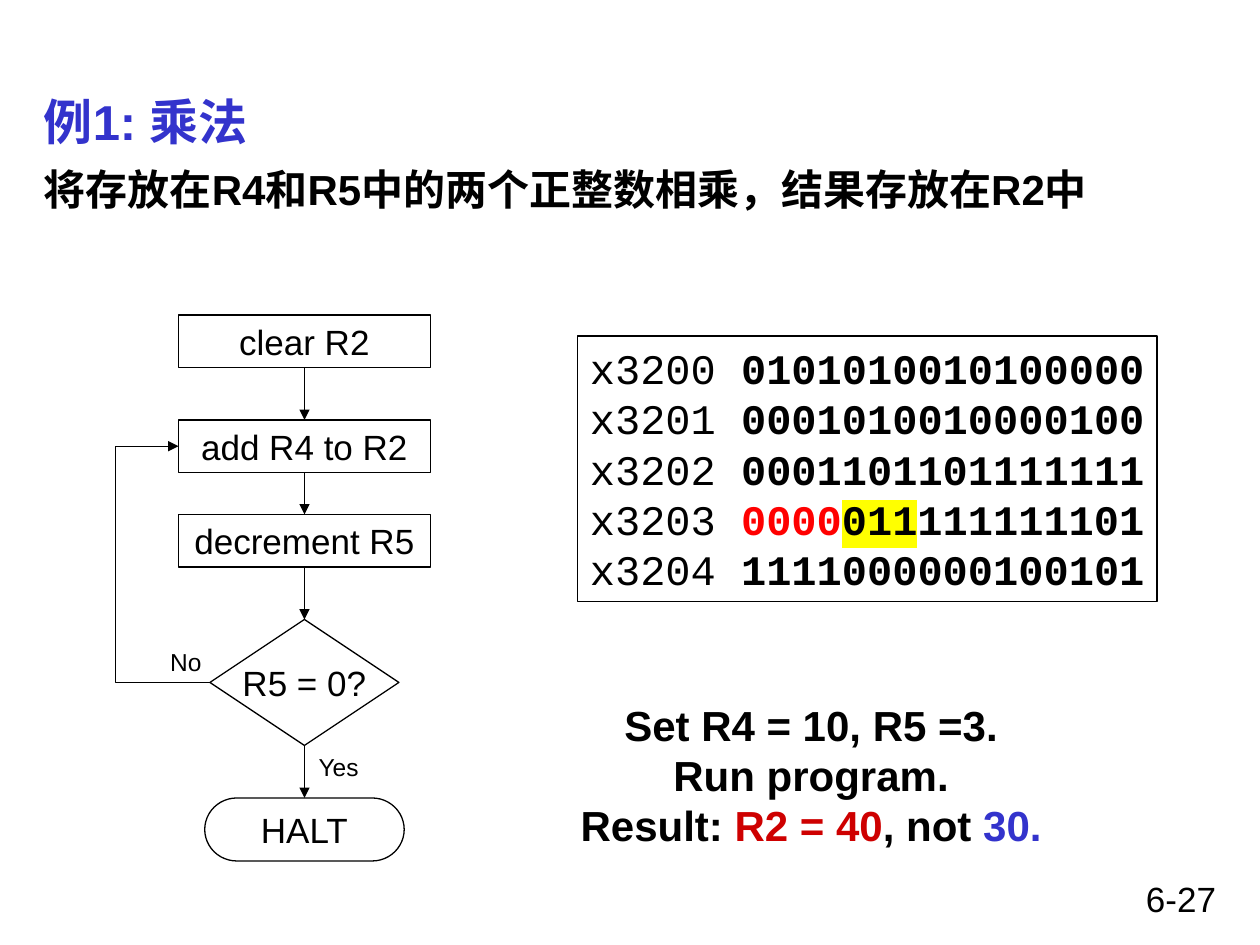
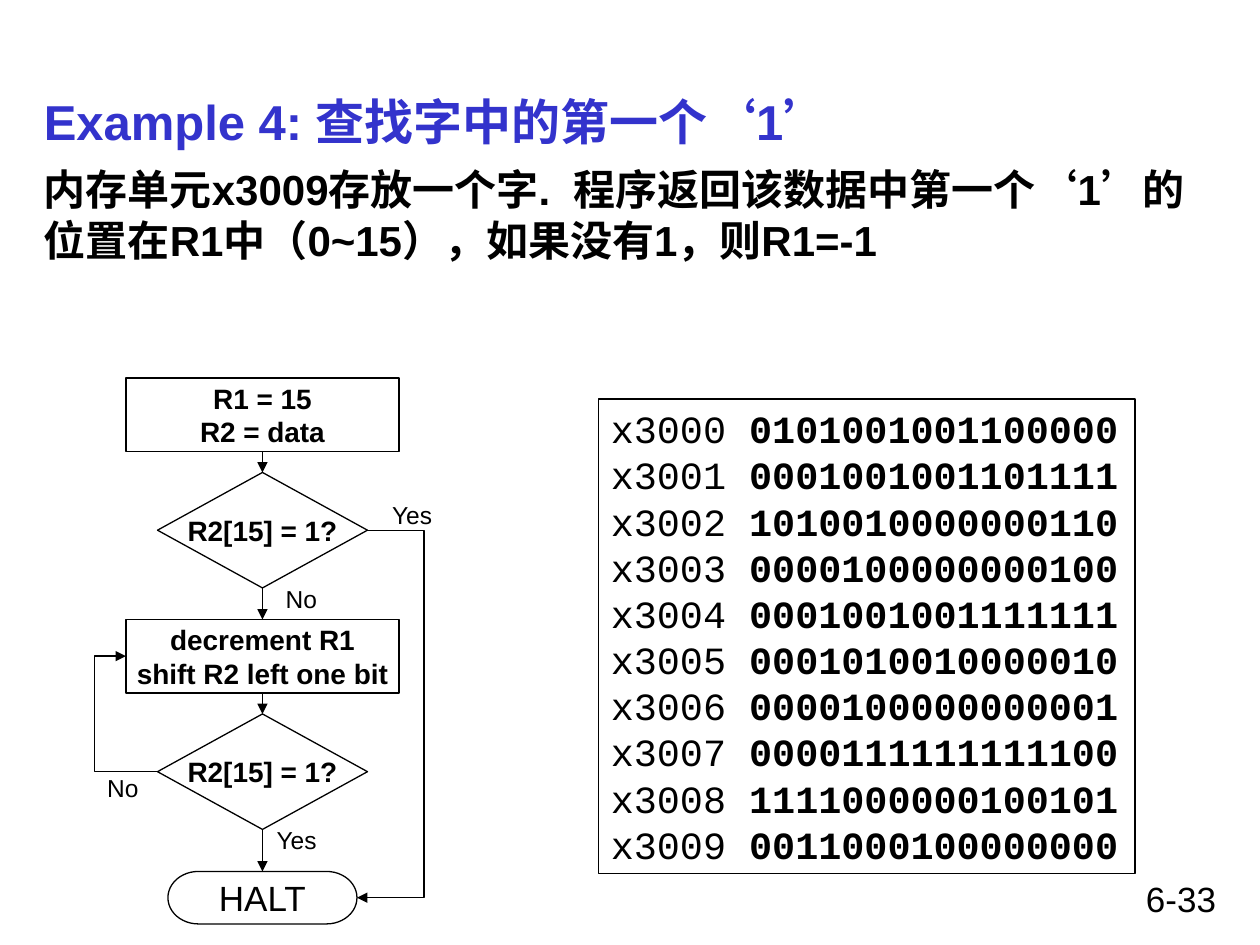
import pptx
import pptx.util
import pptx.dml.color
import pptx.enum.shapes
import pptx.enum.text
import pptx.oxml
import pptx.oxml.ns

RGBColor = pptx.dml.color.RGBColor
MSO_SHAPE = pptx.enum.shapes.MSO_SHAPE
MSO_CONNECTOR = pptx.enum.shapes.MSO_CONNECTOR
PP_ALIGN = pptx.enum.text.PP_ALIGN
MSO_ANCHOR = pptx.enum.text.MSO_ANCHOR
Pt = pptx.util.Pt

BLACK = RGBColor(0x00, 0x00, 0x00)
BLUE = RGBColor(0x33, 0x33, 0xCC)
RED = RGBColor(0xFF, 0x00, 0x00)
DARK_RED = RGBColor(0xCE, 0x00, 0x00)
YELLOW = RGBColor(0xFF, 0xFF, 0x00)
SANS, MONO = "Arial", "Courier New"

# The slide is a grid of 120 columns by 90 rows, each a twelfth of an inch.
COLUMNS, ROWS = 120, 90
UNIT = pptx.util.Inches(1) / 12

PROCESS = MSO_SHAPE.FLOWCHART_PROCESS
DECISION = MSO_SHAPE.FLOWCHART_DECISION
TERMINATOR = MSO_SHAPE.FLOWCHART_TERMINATOR
LABEL_WIDTHS = {"Yes": 6.5, "No": 5.4}

# Steps: kind, lines, top row, rows high, columns wide, text size.
# Loops: index of the step left, index of the step reached, column of the lane.
# A line of text is a string or a list of (text, style) runs.
SLIDES = [
    {
        "title": "例1: 乘法",
        "task": "将存放在R4和R5中的两个正整数相乘，结果存放在R2中",
        "page": "6-27",
        "axis": 29,
        "steps": [
            (PROCESS, ["clear R2"], 30, 5, 24, 20),
            (PROCESS, ["add R4 to R2"], 40, 5, 24, 20),
            (PROCESS, ["decrement R5"], 49, 5, 24, 20),
            (DECISION, ["R5 = 0?"], 59, 12, 18, 20),
            (TERMINATOR, ["HALT"], 76, 6, 19, 20),
        ],
        "bold_steps": False,
        "loops": [(3, 1, 11)],
        "labels": [("No", 15, 61), ("Yes", 29, 71)],
        "program_box": (55, 32, 55.2, 25.3),
        "program_size": 24,
        "program": [
            ("x3200", "0101010010100000"),
            ("x3201", "0001010010000100"),
            ("x3202", "0001101101111111"),
            ("x3203", [("0000", {"color": RED}),
                       ("011", {"highlight": YELLOW}),
                       ("111111101", {})]),
            ("x3204", "1111000000100101"),
        ],
        "result": [
            "Set R4 = 10, R5 =3.",
            "Run program.",
            [("Result: ", {}), ("R2 = 40", {"color": DARK_RED}),
             (", not", {}), (" 30.", {"color": BLUE})],
        ],
    },
    {
        "title": "Example 4: 查找字中的第一个‘1’",
        "task": "内存单元x3009存放一个字.  程序返回该数据中第一个‘1’的位置在R1中"
                "（0~15），如果没有1，则R1=-1",
        "page": "6-33",
        "axis": 25,
        "steps": [
            (PROCESS, ["R1 = 15", "R2 = data"], 36, 7, 26, 16),
            (DECISION, ["R2[15] = 1?"], 45, 11, 20, 16),
            (PROCESS, ["decrement R1", "shift R2 left one bit"], 59, 7, 26, 16),
            (DECISION, ["R2[15] = 1?"], 68, 11, 20, 16),
            (TERMINATOR, ["HALT"], 83, 5, 18, 20),
        ],
        "bold_steps": True,
        "loops": [(1, 4, 40.38), (3, 2, 9)],
        "labels": [("Yes", 36, 47), ("Yes", 25, 78), ("No", 26, 55), ("No", 9, 73)],
        "program_box": (57, 38, 51.1, 45.2),
        "program_size": 22,
        "program": [
            ("x3000", "0101001001100000"),
            ("x3001", "0001001001101111"),
            ("x3002", "1010010000000110"),
            ("x3003", "0000100000000100"),
            ("x3004", "0001001001111111"),
            ("x3005", "0001010010000010"),
            ("x3006", "0000100000000001"),
            ("x3007", "0000111111111100"),
            ("x3008", "1111000000100101"),
            ("x3009", "0011000100000000"),
        ],
        "result": [],
    },
]


def grid(*lengths):
    return [round(length * UNIT) for length in lengths]


def drawing_element(xml):
    """Parse one element whose prefix is a:."""
    declared = xml.replace(">", " " + pptx.oxml.ns.nsdecls("a") + ">", 1)
    if xml.endswith("/>") and xml.count("<") == 1:
        declared = xml[:-2] + " " + pptx.oxml.ns.nsdecls("a") + "/>"
    return pptx.oxml.parse_xml(declared)


def style_run(run, bold=None, color=None, highlight=None):
    if bold is not None:
        run.font.bold = bold
    if color is not None:
        run.font.color.rgb = color
    if highlight is not None:
        run.font.color.rgb = BLACK
        fill = run.font._element.find(pptx.oxml.ns.qn("a:solidFill"))
        fill.addnext(drawing_element(
            f'<a:highlight><a:srgbClr val="{highlight}"/></a:highlight>'))


def write(shape, lines, size, font=SANS, color=BLACK, bold=False, align=PP_ALIGN.LEFT,
          anchor=MSO_ANCHOR.TOP, wrap=False, space_before=0):
    frame = shape.text_frame
    frame.word_wrap = wrap
    frame.vertical_anchor = anchor
    for number, line in enumerate(lines):
        paragraph = frame.add_paragraph() if number else frame.paragraphs[0]
        paragraph.alignment = align
        paragraph.space_before = Pt(space_before)
        paragraph.font.name = font
        paragraph.font.size = Pt(size)
        paragraph.font.bold = bold
        paragraph.font.color.rgb = color
        for text, style in [(line, {})] if isinstance(line, str) else line:
            run = paragraph.add_run()
            run.text = text
            style_run(run, **style)


def add_text(slide, box, lines, size, **style):
    write(slide.shapes.add_textbox(*grid(*box)), lines, size, **style)


def add_outlined(slide, kind, box):
    shape = slide.shapes.add_shape(kind, *grid(*box))
    shape.shadow.inherit = False
    shape.fill.background()
    shape.line.color.rgb = BLACK
    shape.line.width = Pt(0.75)
    return shape


def add_arrow(slide, start, end, lane=None):
    """Draw a straight arrow, or an elbow that runs along the column lane."""
    kind = MSO_CONNECTOR.STRAIGHT if lane is None else MSO_CONNECTOR.ELBOW
    arrow = slide.shapes.add_connector(kind, *grid(*start, *end))
    arrow.line.color.rgb = BLACK
    arrow.line.width = Pt(0.75)
    arrow.line._get_or_add_ln().append(drawing_element('<a:tailEnd type="triangle"/>'))
    properties = arrow._element.spPr
    properties.append(drawing_element("<a:effectLst/>"))
    if lane is not None:
        bend = round(100000 * (lane - start[0]) / (end[0] - start[0]))
        geometry = properties.find(pptx.oxml.ns.qn("a:prstGeom"))
        for child in list(geometry):
            geometry.remove(child)
        geometry.append(drawing_element(
            f'<a:avLst><a:gd name="adj1" fmla="val {bend}"/></a:avLst>'))


def add_flowchart(slide, content):
    axis, steps = content["axis"], content["steps"]
    for kind, lines, top, height, width, size in steps:
        step = add_outlined(slide, kind, (axis - width / 2, top, width, height))
        write(step, lines, size, align=PP_ALIGN.CENTER, anchor=MSO_ANCHOR.MIDDLE,
              bold=content["bold_steps"] and kind != TERMINATOR)
    for (_, _, top, height, _, _), following in zip(steps, steps[1:]):
        add_arrow(slide, (axis, top + height), (axis, following[2]))
    for source, target, lane in content["loops"]:
        side = 1 if lane > axis else -1
        start, end = [(axis + side * width / 2, top + height / 2)
                      for _, _, top, height, width, _ in (steps[source], steps[target])]
        add_arrow(slide, start, end, lane)
    for answer, left, top in content["labels"]:
        add_text(slide, (left, top, LABEL_WIDTHS[answer], 4), [answer], 14,
                 align=PP_ALIGN.CENTER)


def add_program(slide, content):
    lines = []
    for address, word in content["program"]:
        bits = [(word, {})] if isinstance(word, str) else word
        lines.append([(address + " ", {"bold": False})]
                     + [(text, {"bold": True, **style}) for text, style in bits])
    listing = add_outlined(slide, MSO_SHAPE.RECTANGLE, content["program_box"])
    write(listing, lines, content["program_size"], font=MONO)


def add_example(deck, content):
    slide = deck.slides.add_slide(deck.slide_layouts[6])
    add_text(slide, (86, 83, 31, 5), [content["page"]], 20, align=PP_ALIGN.RIGHT, wrap=True)
    add_text(slide, (3, 8, 114, 7), [content["title"]], 28, color=BLUE, bold=True,
             anchor=MSO_ANCHOR.MIDDLE, wrap=True)
    add_text(slide, (3, 15, 114, 13), [content["task"]], 24, bold=True, wrap=True,
             space_before=4.8)
    add_program(slide, content)
    add_flowchart(slide, content)
    if content["result"]:
        add_text(slide, (54.1, 66, 46.3, 15.6), content["result"], 24, bold=True,
                 align=PP_ALIGN.CENTER)


def main():
    deck = pptx.Presentation()
    deck.slide_width, deck.slide_height = grid(COLUMNS, ROWS)
    for content in SLIDES:
        add_example(deck, content)
    deck.save("out.pptx")


if __name__ == "__main__":
    main()
